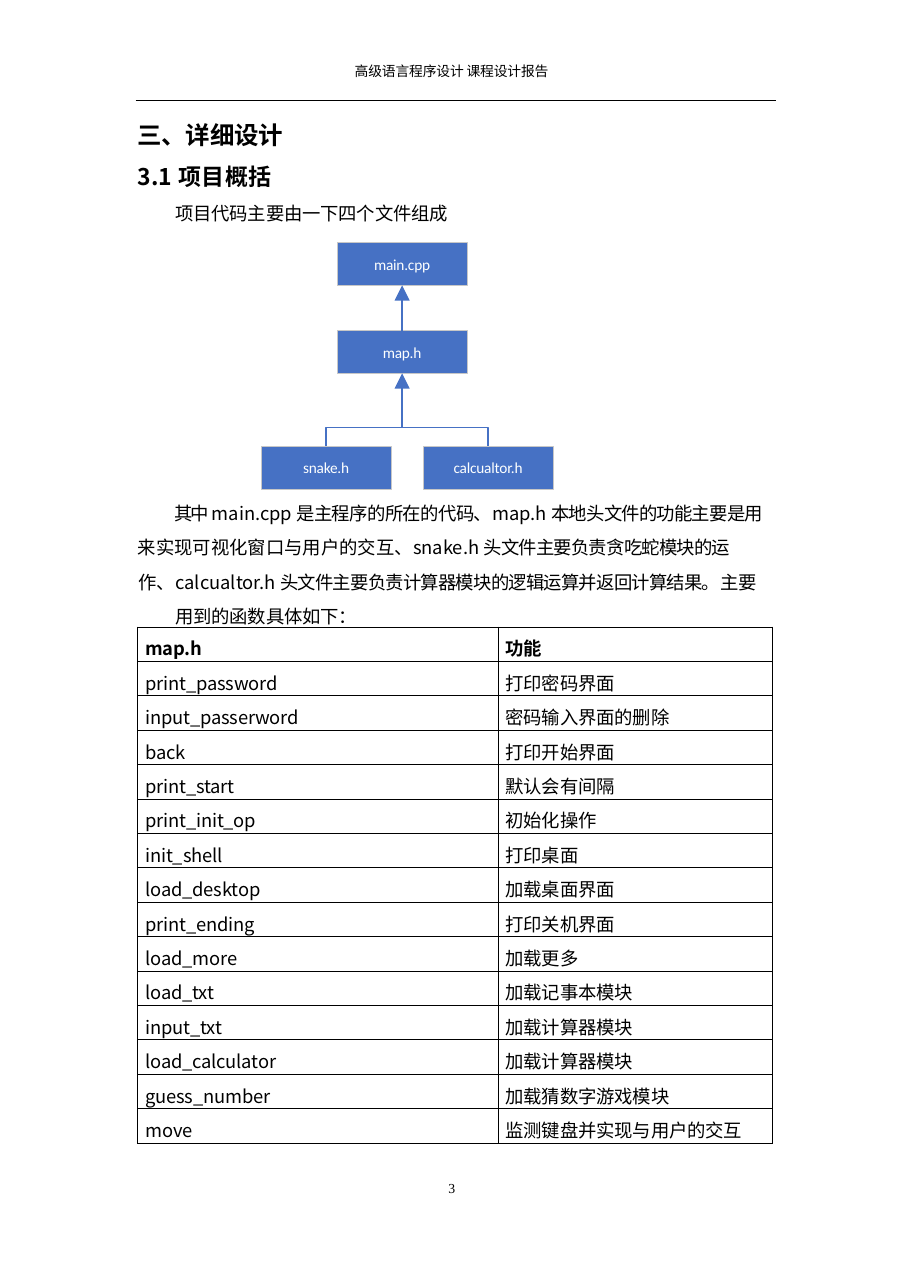
from pptx import Presentation
from pptx.dml.color import RGBColor
from pptx.enum.shapes import MSO_CONNECTOR, MSO_SHAPE
from pptx.enum.text import MSO_ANCHOR, PP_ALIGN
from pptx.oxml.ns import qn
from pptx.util import Inches, Pt
from lxml import etree

STRAIGHT = MSO_CONNECTOR.STRAIGHT
RECTANGLE = MSO_SHAPE.RECTANGLE
MIDDLE = MSO_ANCHOR.MIDDLE
CENTER = PP_ALIGN.CENTER
COLORS = {name: RGBColor.from_string(value) for name, value in {
    "ink": "000000", "box": "4671C4", "edge": "C7C7C7", "label": "FDFFFF"}.items()}
CJK = "Noto Sans CJK SC"


def write(para, spans, size, font=CJK, color="ink", bold=False,
          left=0, indent=0, right=0, line=None, before=0):
    """Fill a paragraph with (text, letter spacing in points) spans."""
    layout = para._p.get_or_add_pPr()
    for name, inches in (("marL", left), ("marR", right), ("indent", indent)):
        layout.set(name, str(Inches(inches)))
    if line:
        para.line_spacing = Pt(line)
    para.space_before = Pt(before)
    for text, tracking in spans:
        span = para.add_run()
        span.text = text
        span.font.size = Pt(size)
        span.font.bold = bold
        span.font.color.rgb = COLORS[color]
        span.font.name = font
        properties = span._r.get_or_add_rPr()
        properties.set("spc", str(round(tracking * 100)))
        etree.SubElement(properties, qn("a:ea")).set("typeface", font)


def add_line(start, end, color, width, arrow=False):
    line = page.shapes.add_connector(
        STRAIGHT, *(Inches(value) for value in start + end))
    line.line.color.rgb = COLORS[color]
    line.line.width = Pt(width)
    if arrow:
        head = etree.SubElement(line.line._get_or_add_ln(), qn("a:tailEnd"))
        for name, value in (("type", "triangle"), ("w", "lg"), ("len", "lg")):
            head.set(name, value)
    etree.SubElement(line._element.spPr, qn("a:effectLst"))
    return line


deck = Presentation()
deck.slide_width, deck.slide_height = Inches(8.26), Inches(11.69)
page = deck.slides.add_slide(deck.slide_layouts[6])

# Text blocks: left, top, width, height, then one entry per paragraph
text_blocks = [
    (3.21, 0.57, 1.95, 0.18, [
        ([("高级语言程序设计 课程设计报告", -0.1)], dict(size=9, left=0.01))]),
    (1.24, 1.08, 2.95, 0.95, [
        ([("三、详细设计", -0.2)], dict(size=16, bold=True, left=0.01, line=20)),
        ([("3.1", 0), (" 项目概括", 0.4)],
         dict(size=15, bold=True, left=0.01, line=20, before=6.5)),
        ([("项目代码主要由一下四个文件组成", -0.1)],
         dict(size=12, left=0.35, line=16, before=6.1))]),
    (1.24, 4.45, 5.74, 1.24, [
        ([("其中 ", -1), ("main.cpp", 0), (" 是主程序的所在的代码、", -0.4),
          ("map.h", 0), (" 本地头文件的功能主要是用", -0.5),
          ("来实现可视化窗口与用户的交互、snake.h", 0),
          (" 头文件主要负责贪吃蛇模块的运", -0.5)],
         dict(size=12, left=0.01, indent=0.33, line=22.1)),
        ([("作、", -0.1), ("calcualtor.h", 0),
          (" 头文件主要负责计算器模块的逻辑运算并返回计算结果。", -0.5),
          ("主要用到的函数具体如下：", -0.1)],
         dict(size=12, left=0.35, indent=-0.33, right=0.1, line=22.1, before=0.8))]),
    (4.03, 10.71, 0.22, 0.17, [
        ([("3", -0.2)], dict(size=9, font="Times New Roman", left=0.04))]),
]
for left, top, width, height, paragraphs in text_blocks:
    frame = page.shapes.add_textbox(
        Inches(left), Inches(top), Inches(width), Inches(height)).text_frame
    frame.word_wrap = True
    frame.margin_left = frame.margin_right = frame.margin_top = frame.margin_bottom = 0
    for index, (spans, style) in enumerate(paragraphs):
        para = frame.add_paragraph() if index else frame.paragraphs[0]
        write(para, spans, **style)

# Rule under the page header
add_line((1.23, 0.91), (7.04, 0.91), "ink", 0.75)

# File diagram
box_width, box_height = 1.18, 0.39
files = {}
for name, left, top in [("main.cpp", 3.06, 2.2), ("map.h", 3.06, 3),
                        ("snake.h", 2.37, 4.05), ("calcualtor.h", 3.84, 4.05)]:
    box = page.shapes.add_shape(RECTANGLE, Inches(left), Inches(top),
                                Inches(box_width), Inches(box_height))
    box.shadow.inherit = False
    box.fill.solid()
    box.fill.fore_color.rgb = COLORS["box"]
    box.line.color.rgb = COLORS["edge"]
    box.line.width = Pt(0.25)
    box.text_frame.vertical_anchor = MIDDLE
    para = box.text_frame.paragraphs[0]
    para.alignment = CENTER
    write(para, [(name, -0.1)], 10, "Calibri", "label")
    files[name] = box

map_to_main = add_line((3.65, 3), (3.65, 2.59), "box", 1, arrow=True)
map_to_main.begin_connect(files["map.h"], 0)
map_to_main.end_connect(files["main.cpp"], 2)
modules_to_map = add_line((3.65, 3.88), (3.65, 3.39), "box", 1, arrow=True)
modules_to_map.end_connect(files["map.h"], 2)

outline = page.shapes.build_freeform(Inches(2.96), Inches(4.05))
outline.add_line_segments([(Inches(x), Inches(y)) for x, y in
                           [(2.96, 3.88), (4.43, 3.88), (4.43, 4.05)]], close=False)
bracket = outline.convert_to_shape()
bracket.shadow.inherit = False
bracket.fill.background()
bracket.line.color.rgb = COLORS["box"]
bracket.line.width = Pt(1)

# Function table
functions = [
    ("map.h", "功能"),
    ("print_password", "打印密码界面"),
    ("input_passerword", "密码输入界面的删除"),
    ("back", "打印开始界面"),
    ("print_start", "默认会有间隔"),
    ("print_init_op", "初始化操作"),
    ("init_shell", "打印桌面"),
    ("load_desktop", "加载桌面界面"),
    ("print_ending", "打印关机界面"),
    ("load_more", "加载更多"),
    ("load_txt", "加载记事本模块"),
    ("input_txt", "加载计算器模块"),
    ("load_calculator", "加载计算器模块"),
    ("guess_number", "加载猜数字游戏模块"),
    ("move", "监测键盘并实现与用户的交互"),
]
table = page.shapes.add_table(len(functions), 2, Inches(1.25), Inches(5.69),
                              Inches(5.76), Inches(4.68)).table
table.first_row = table.horz_banding = False
for column, width in zip(table.columns, (3.27, 2.49)):
    column.width = Inches(width)
for row_index, texts in enumerate(functions):
    table.rows[row_index].height = Inches(4.68 / len(functions))
    for column_index, text in enumerate(texts):
        cell = table.cell(row_index, column_index)
        cell.margin_left = cell.margin_right = cell.margin_bottom = 0
        cell.margin_top = Inches(0.09)
        write(cell.text_frame.paragraphs[0], [(text, -0.1)], 12,
              bold=row_index == 0, left=0.07, line=16)
        properties = cell._tc.get_or_add_tcPr()
        for side in ("lnL", "lnR", "lnT", "lnB"):
            border = etree.SubElement(properties, qn(f"a:{side}"))
            border.set("w", str(Pt(0.5)))
            fill = etree.SubElement(border, qn("a:solidFill"))
            etree.SubElement(fill, qn("a:srgbClr")).set("val", str(COLORS["ink"]))
        cell.fill.background()

deck.save("out.pptx")
